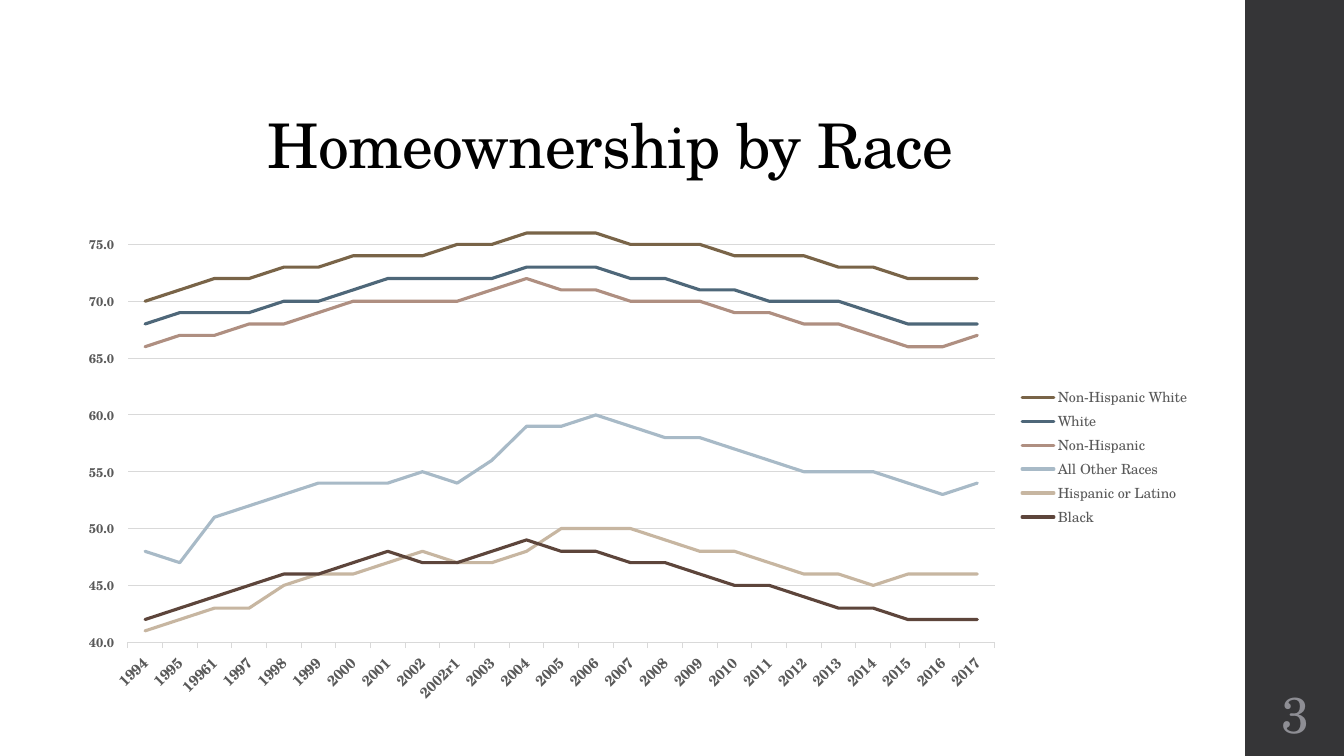
"""Build the slide on homeownership by race."""
from lxml import etree
from pptx import Presentation
from pptx.chart.data import CategoryChartData
from pptx.dml.color import RGBColor
from pptx.enum.chart import XL_CHART_TYPE, XL_LEGEND_POSITION, XL_TICK_MARK
from pptx.enum.shapes import MSO_SHAPE
from pptx.enum.text import MSO_ANCHOR, PP_ALIGN
from pptx.oxml import parse_xml
from pptx.oxml.ns import nsdecls, qn
from pptx.util import Inches, Pt

LINE = XL_CHART_TYPE.LINE
RIGHT = XL_LEGEND_POSITION.RIGHT
OUT, NONE = XL_TICK_MARK.OUTSIDE, XL_TICK_MARK.NONE
RECT = MSO_SHAPE.RECTANGLE
BOTTOM, MIDDLE = MSO_ANCHOR.BOTTOM, MSO_ANCHOR.MIDDLE
CENTER = PP_ALIGN.CENTER

FONT = "TeX Gyre Schola"
BLACK = RGBColor(0, 0, 0)
DARK = RGBColor(0x35, 0x35, 0x37)
PALE = RGBColor(0x8E, 0x8E, 0x94)
GRAY = RGBColor(0x59, 0x59, 0x59)
RULE = RGBColor(0xD9, 0xD9, 0xD9)
BROWN = RGBColor(0x79, 0x64, 0x48)
BLUE = RGBColor(0x4E, 0x67, 0x79)
ROSE = RGBColor(0xAF, 0x8F, 0x81)
SKY = RGBColor(0xA8, 0xBA, 0xC7)
SAND = RGBColor(0xC7, 0xB6, 0xA1)
UMBER = RGBColor(0x5D, 0x45, 0x3B)

TITLE = "Homeownership by Race"
YEARS = ["1994", "1995", "19961", "1997", "1998", "1999", "2000", "2001", "2002",
         "2002r1", "2003", "2004", "2005", "2006", "2007", "2008", "2009", "2010",
         "2011", "2012", "2013", "2014", "2015", "2016", "2017"]
RATES = [
    ("Non-Hispanic White", BROWN,
     [70, 71, 72, 72, 73, 73, 74, 74, 74, 75, 75, 76, 76,
      76, 75, 75, 75, 74, 74, 74, 73, 73, 72, 72, 72]),
    ("White", BLUE,
     [68, 69, 69, 69, 70, 70, 71, 72, 72, 72, 72, 73, 73,
      73, 72, 72, 71, 71, 70, 70, 70, 69, 68, 68, 68]),
    ("Non-Hispanic", ROSE,
     [66, 67, 67, 68, 68, 69, 70, 70, 70, 70, 71, 72, 71,
      71, 70, 70, 70, 69, 69, 68, 68, 67, 66, 66, 67]),
    ("All Other Races", SKY,
     [48, 47, 51, 52, 53, 54, 54, 54, 55, 54, 56, 59, 59,
      60, 59, 58, 58, 57, 56, 55, 55, 55, 54, 53, 54]),
    ("Hispanic or Latino", SAND,
     [41, 42, 43, 43, 45, 46, 46, 47, 48, 47, 47, 48, 50,
      50, 50, 49, 48, 48, 47, 46, 46, 45, 46, 46, 46]),
    ("Black", UMBER,
     [42, 43, 44, 45, 46, 46, 47, 48, 47, 47, 48, 49, 48,
      48, 47, 47, 46, 45, 45, 44, 43, 43, 42, 42, 42]),
]
PLOT = {"x": 0.054, "y": 0.019, "w": 0.765, "h": 0.842}


def style(font, size, color, bold=False):
    font.name, font.size, font.bold = FONT, Pt(size), bold
    font.color.rgb = color


def add_text(slide, text, box, size, color, anchor, pad=0.05, lead=1.0, track=0):
    frame = slide.shapes.add_textbox(*map(Inches, box)).text_frame
    frame.word_wrap = True
    frame.vertical_anchor = anchor
    frame.margin_left = frame.margin_right = Inches(pad)
    frame.margin_top = frame.margin_bottom = Inches(0.05)
    para = frame.paragraphs[0]
    para.alignment, para.line_spacing = CENTER, lead
    run = para.add_run()
    run.text = text
    style(run.font, size, color)
    if track:
        run.font._element.set("spc", str(track))


def set_line(line, color, width):
    line.color.rgb = color
    line.width = Pt(width)


def place_plot(chart):
    area = chart._chartSpace.chart.plotArea
    for old in area.findall(qn("c:layout")):
        area.remove(old)
    layout = parse_xml(f"<c:layout {nsdecls('c')}><c:manualLayout/></c:layout>")
    marks = [("layoutTarget", "inner"), ("xMode", "edge"), ("yMode", "edge")]
    for tag, val in marks + list(PLOT.items()):
        etree.SubElement(layout[0], qn(f"c:{tag}")).set("val", str(val))
    area.insert(0, layout)


def add_rates(slide, box):
    data = CategoryChartData(number_format="0.0")
    data.categories = YEARS
    for name, _, vals in RATES:
        data.add_series(name, vals)
    chart = slide.shapes.add_chart(LINE, *map(Inches, box), data).chart
    style(chart.font, 10, BLACK)
    chart.has_title = False
    chart.has_legend = True
    chart.legend.position = RIGHT
    chart.legend.include_in_layout = False
    style(chart.legend.font, 10, GRAY)
    chart.plots[0].vary_by_categories = False
    for line, (_, color, _) in zip(chart.plots[0].series, RATES):
        line.smooth = False
        set_line(line.format.line, color, 2.25)
        line._element.find(qn("c:spPr")).find(qn("a:ln")).set("cap", "rnd")

    years, scale = chart.category_axis, chart.value_axis
    for axis, size in ((years, 10.5), (scale, 9)):
        axis.major_tick_mark, axis.minor_tick_mark = OUT, NONE
        style(axis.tick_labels.font, size, GRAY, bold=True)
    set_line(years.format.line, RULE, 0.75)
    years._element.find(qn("c:txPr")).find(qn("a:bodyPr")).set("rot", "-2700000")
    scale.minimum_scale, scale.maximum_scale, scale.major_unit = 40, 78, 5
    scale.format.line.fill.background()
    set_line(scale.major_gridlines.format.line, RULE, 0.75)
    scale.tick_labels.number_format = "0.0_)"
    scale.tick_labels.number_format_is_linked = False
    place_plot(chart)


def main():
    deck = Presentation()
    deck.slide_width, deck.slide_height = Inches(13.33), Inches(7.5)
    slide = deck.slides.add_slide(deck.slide_layouts[6])
    band = slide.shapes.add_shape(RECT, *map(Inches, (12.35, 0, 0.98, 7.5)))
    band.shadow.inherit = False
    band.fill.solid()
    band.fill.fore_color.rgb = DARK
    band.line.fill.background()
    add_text(slide, TITLE, (0.13, 0.4, 11.85, 1.45), 44, BLACK, BOTTOM,
             pad=0.1, lead=0.9, track=-50)
    add_text(slide, "3", (12.35, 6.75, 1, 0.65), 36, PALE, MIDDLE)
    add_rates(slide, (0.66, 1.99, 11.24, 5.09))
    deck.save("out.pptx")


if __name__ == "__main__":
    main()
